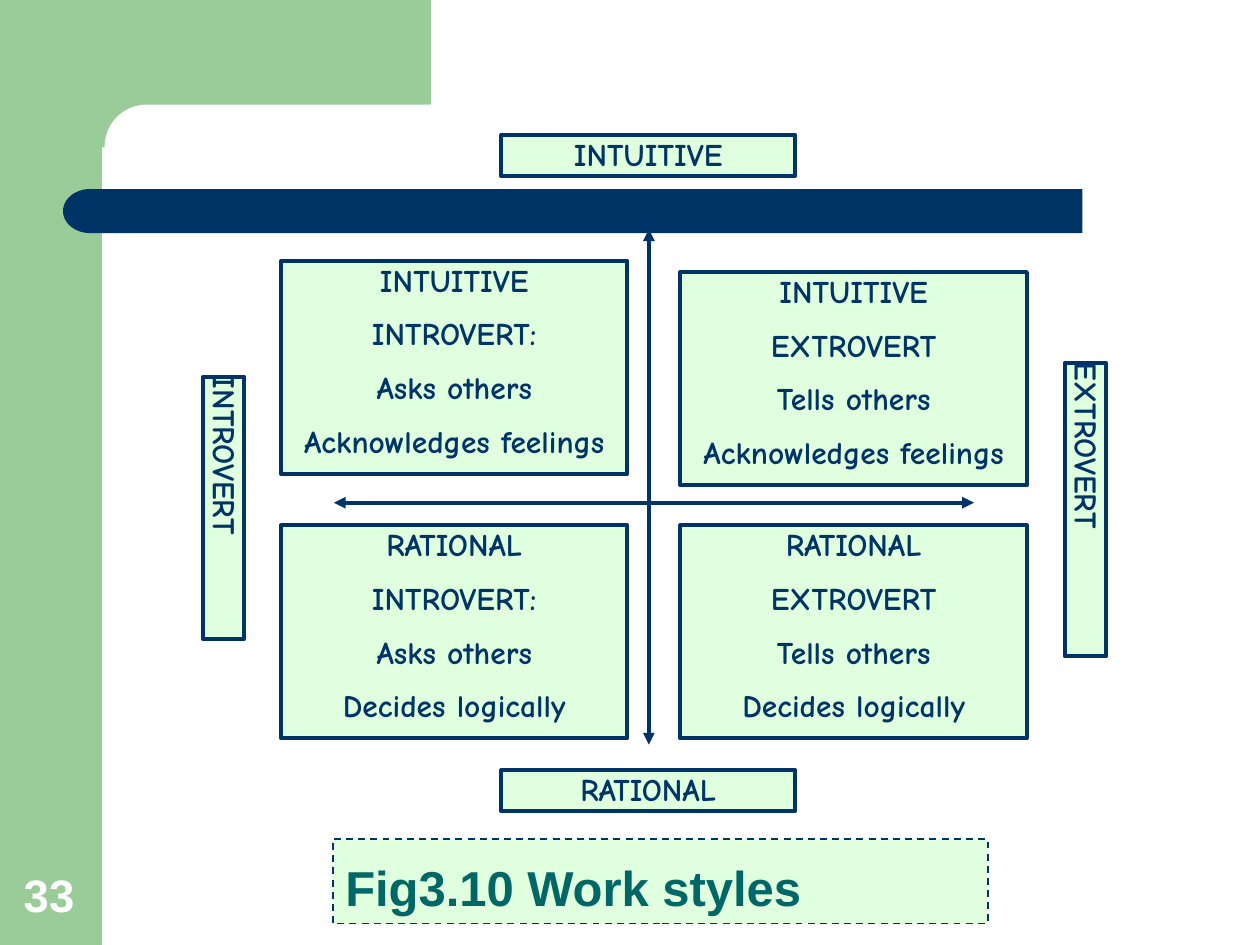
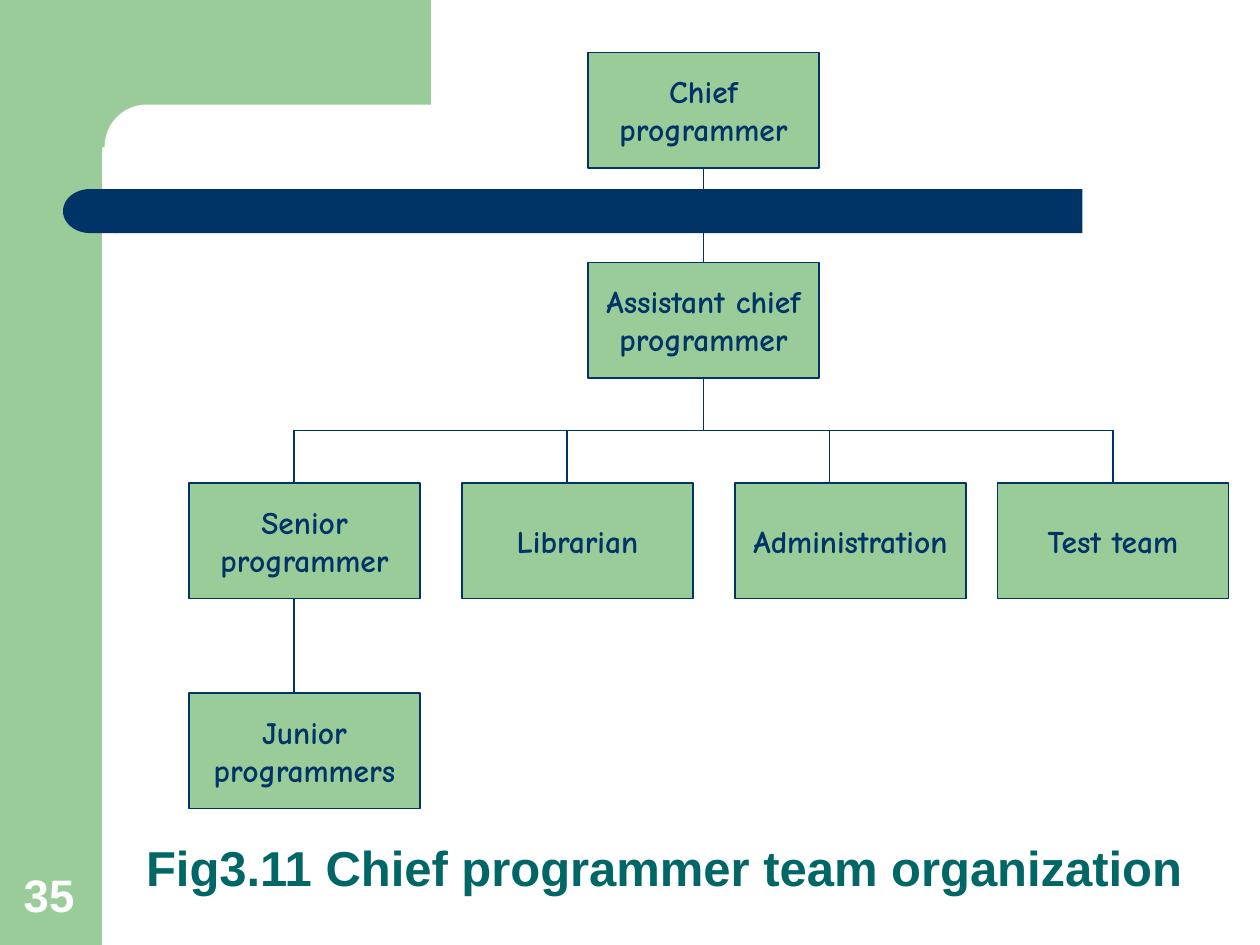
from lxml import etree
from pptx import Presentation
from pptx.dml.color import RGBColor
from pptx.enum.dml import MSO_LINE
from pptx.enum.shapes import MSO_CONNECTOR, MSO_SHAPE
from pptx.enum.text import MSO_ANCHOR, MSO_AUTO_SIZE, PP_ALIGN
from pptx.oxml.ns import qn
from pptx.util import Inches, Pt

COLORS = {"green": "99CC99", "navy": "003366", "mint": "CCFFCC",
          "teal": "006666", "white": "FFFFFF"}
HEADING_FONT, LABEL_FONT = "Arial", "Comic Neue"
RECT, ROUNDED, DELAY = MSO_SHAPE.RECTANGLE, MSO_SHAPE.ROUNDED_RECTANGLE, MSO_SHAPE.FLOWCHART_DELAY
STRAIGHT = MSO_CONNECTOR.STRAIGHT
TOP, MIDDLE, BOTTOM = MSO_ANCHOR.TOP, MSO_ANCHOR.MIDDLE, MSO_ANCHOR.BOTTOM
LEFT, CENTER = PP_ALIGN.LEFT, PP_ALIGN.CENTER
TOP_SIDE, BOTTOM_SIDE = 0, 2
TITLE_ONLY = 5
CELLS_PER_INCH = 12
NODE_WIDTH, NODE_HEIGHT = 22, 11


def rgb(name):
    return RGBColor.from_string(COLORS[name])


def cells(*counts):
    """Turn counts of chart grid cells into inches."""
    return tuple(count / CELLS_PER_INCH for count in counts)


def set_fill(shape, color, opacity=100):
    shape.fill.solid()
    shape.fill.fore_color.rgb = rgb(color)
    if opacity < 100:
        tint = shape.fill._xPr.find(".//" + qn("a:srgbClr"))
        etree.SubElement(tint, qn("a:alpha"), val=str(opacity * 1000))


def set_line(shape, width):
    shape.line.color.rgb = rgb("navy")
    shape.line.width = Pt(width)


def add_block(page, kind, area, color, opacity=100, line_width=None):
    block = page.shapes.add_shape(kind, *map(Inches, area))
    block.shadow.inherit = False
    set_fill(block, color, opacity)
    if line_width:
        set_line(block, line_width)
    else:
        block.line.fill.background()
    return block


def write(frame, lines, font, size, color, align, anchor, gap=0):
    """Write one paragraph per line, with gap points between them."""
    frame.word_wrap = True
    frame.auto_size = MSO_AUTO_SIZE.NONE
    frame.vertical_anchor = anchor
    for index, line in enumerate(lines):
        para = frame.add_paragraph() if index else frame.paragraphs[0]
        para.alignment = align
        para.space_before = Pt(gap if index else 0)
        span = para.add_run()
        span.text = line
        span.font.name, span.font.size, span.font.bold = font, Pt(size), True
        span.font.color.rgb = rgb(color)


def write_label(block, lines, anchor, align=CENTER, gap=0):
    frame = block.text_frame
    frame.margin_left = frame.margin_right = frame.margin_top = frame.margin_bottom = 0
    write(frame, lines, LABEL_FONT, 18, "navy", align, anchor, gap)


def add_line(page, start, end, width, arrows=False):
    line = page.shapes.add_connector(STRAIGHT, *map(Inches, start + end))
    set_line(line, width)
    if arrows:
        outline = line.line._get_or_add_ln()
        for tip in ("a:headEnd", "a:tailEnd"):
            etree.SubElement(outline, qn(tip), type="triangle")
    etree.SubElement(line._element.spPr, qn("a:effectLst"))
    return line


def add_page(deck, number, title, title_area):
    """Add a slide with the green frame, navy bar, page number and title."""
    page = deck.slides.add_slide(deck.slide_layouts[TITLE_ONLY])
    add_block(page, RECT, (0, 0, 0.81, 7.5), "green")
    add_block(page, RECT, (0.73, 0, 2.69, 1.17), "green")
    add_block(page, ROUNDED, (0.83, 0.83, 5.58, 0.67), "white").adjustments[0] = 0.5
    add_block(page, RECT, (0.92, 1.5, 7.67, 0.35), "navy")
    add_block(page, DELAY, (0.5, 1.5, 0.43, 0.35), "navy").rotation = 180

    number_box = page.shapes.add_textbox(*map(Inches, (0.09, 6.83, 0.64, 0.53)))
    write(number_box.text_frame, [number], HEADING_FONT, 26, "white", LEFT, BOTTOM)

    heading = page.shapes.title
    heading.left, heading.top, heading.width, heading.height = map(Inches, title_area)
    write(heading.text_frame, [title], HEADING_FONT, 28, "teal", LEFT, BOTTOM)
    heading.text_frame.paragraphs[0].line_spacing = 0.9
    return page


def add_style_box(page, area, lines, vertical=False):
    block = add_block(page, RECT, area, "mint", 61, 2.25)
    write_label(block, lines, TOP, LEFT if vertical else CENTER, gap=9)
    if vertical:
        block.text_frame._txBody.bodyPr.set("vert", "eaVert")


def add_work_styles(deck):
    page = add_page(deck, "33", "Fig3.10 Work styles", (2.64, 6.66, 5.2, 0.67))
    heading = page.shapes.title
    set_fill(heading, "mint", 61)
    set_line(heading, 1)
    heading.line.dash_style = MSO_LINE.DASH

    add_line(page, (2.65, 3.99), (7.73, 3.99), 2.25, arrows=True)
    add_line(page, (5.15, 1.82), (5.15, 5.91), 2.25, arrows=True)

    for top, label in ((1.07, "INTUITIVE"), (6.11, "RATIONAL")):
        add_style_box(page, (3.98, top, 2.33, 0.33), [label])
    add_style_box(page, (8.45, 2.88, 0.33, 2.33), ["EXTROVERT"], vertical=True)
    add_style_box(page, (1.61, 2.99, 0.33, 2.08), ["INTROVERT"], vertical=True)

    sides = ((2.23, "INTROVERT:", "Asks others"), (5.4, "EXTROVERT", "Tells others"))
    rows = (((2.07, 2.16), "INTUITIVE", "Acknowledges feelings"),
            ((4.17, 4.17), "RATIONAL", "Decides logically"))
    for tops, approach, decision in rows:
        for top, (left, attitude, manner) in zip(tops, sides):
            add_style_box(page, (left, top, 2.75, 1.69),
                          [approach, attitude, manner, decision])


def add_role(page, column, row, *lines):
    block = add_block(page, RECT, cells(column, row, NODE_WIDTH, NODE_HEIGHT),
                      "green", line_width=1)
    write_label(block, lines, MIDDLE)
    return block


def add_branch(page, start, end, above=None, below=None):
    """Draw a chart line between grid points, joined to the roles given."""
    line = add_line(page, cells(*start), cells(*end), 1)
    if above:
        line.begin_connect(above, BOTTOM_SIDE)
    if below:
        line.end_connect(below, TOP_SIDE)


def add_team_chart(deck):
    page = add_page(deck, "35", "Fig3.11 Chief programmer team organization",
                    (1.06, 6.42, 8.6, 0.75))
    chief = add_role(page, 56, 5, "Chief", "programmer")
    assistant = add_role(page, 56, 25, "Assistant chief", "programmer")
    add_role(page, 18, 46, "Senior", "programmer")
    add_role(page, 44, 46, "Librarian")
    add_role(page, 70, 46, "Administration")
    testers = add_role(page, 95, 46, "Test team")
    add_role(page, 18, 66, "Junior", "programmers")

    add_branch(page, (67, 16), (67, 25), chief, assistant)
    add_branch(page, (67, 36), (67, 41), above=assistant)
    add_branch(page, (28, 41), (106, 41))
    for column in (28, 54, 79):
        add_branch(page, (column, 41), (column, 46))
    add_branch(page, (106, 41), (106, 46), below=testers)
    add_branch(page, (28, 57), (28, 66))


def main():
    deck = Presentation()
    deck.slide_width, deck.slide_height = Inches(10), Inches(7.5)
    add_work_styles(deck)
    add_team_chart(deck)
    deck.save("out.pptx")


if __name__ == "__main__":
    main()
